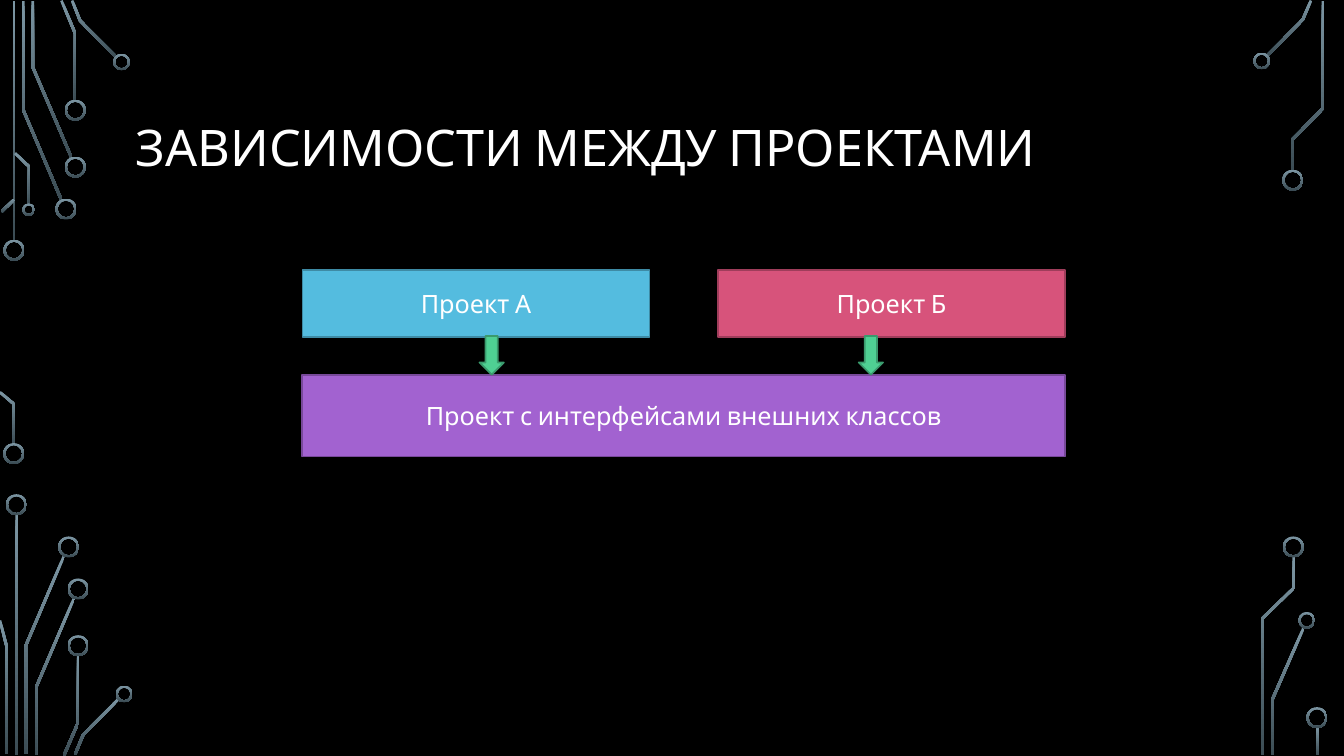
from math import hypot

from pptx import Presentation
from pptx.dml.color import RGBColor
from pptx.enum import shapes, text
from pptx.util import Pt

FONT = "Cabin"
WHITE, BLACK = "FFFFFF", "000000"
TRACE_TOP, TRACE_BOTTOM = "7C96A3", "3B4C54"
TRACE_WIDTH, RING_WALL = 1.9, 1.45

TITLE = "ЗАВИСИМОСТИ МЕЖДУ ПРОЕКТАМИ"
TITLE_AREA = (90, 49, 780, 116.6)

# text, (left, top, width, height), fill, line
PROJECTS = [
    ("Проект с интерфейсами внешних классов", (216, 267.8, 545, 58.3), "A262D0", "78499A"),
    ("Проект А", (216, 192.8, 248, 47.7), "54BCDF", "3E8BA5"),
    ("Проект Б", (512.8, 192.8, 248, 47.7), "D7537B", "9F3D5B"),
]
ARROW_LEFTS = (342.5, 613.4)
ARROW_TOP, ARROW_WIDTH, ARROW_HEIGHT = 240, 17.4, 27.6
ARROW_FILL, ARROW_LINE = "4FD093", "3A9A6D"

# Centre points of the circuit rings, by diameter
RINGS = {
    15: [(10, 178.7), (9.8, 324), (47.1, 149.3), (53.8, 119.3), (53.8, 78.7),
         (11.7, 360.5), (49, 390.7), (55.8, 420.7), (55.8, 461.2),
         (923.4, 128.7), (923.8, 390.7), (940.7, 512.6)],
    12: [(86.8, 44.3), (88.7, 495.7), (901.2, 43.5), (933.4, 443.1)],
    9: [(20.5, 149.8)],
}

# Centre lines of the circuit traces
TRACES = [
    # top left
    [(9.9, 0.7), (9.9, 172.8)],
    [(43.9, 142.9), (16.6, 78.5), (16.6, 0.7)],
    [(51.1, 112.7), (23.4, 47.9), (23.4, 0.7)],
    [(53.7, 72), (53.7, 23.8), (43.9, 0.4)],
    [(83.2, 41), (57.2, 14.8), (51.5, 0.4)],
    [(1.1, 151.2), (10.1, 142.6)],
    [(20.9, 146.2), (20.9, 119.2), (10.8, 109.4)],
    # bottom left
    [(10.1, 317.5), (10.1, 288.7), (0, 280.1)],
    [(11.9, 367.2), (11.9, 539.3)],
    [(18.4, 538.6), (18.4, 461.2), (45.7, 397.1)],
    [(4.7, 538.6), (4.7, 461.5), (0, 443.2)],
    [(25.6, 539.3), (25.6, 491.4), (52.9, 427.3)],
    [(45.7, 539.6), (55.8, 516.2), (55.8, 468)],
    [(53.6, 538.9), (59.4, 524.9), (85, 499)],
    # right
    [(905, 40), (930.6, 14), (936.4, 0.4)],
    [(923, 121.7), (923, 99.7), (945, 77.4), (945, 0.7)],
    [(909, 539.3), (909, 499.3), (931, 448.9)],
    [(901.8, 539.3), (901.8, 441.7), (924.1, 420.1), (924.1, 397.4)],
    [(941, 519.1), (941, 539.3)],
]


def color(value):
    return RGBColor.from_string(value)


def paint_circuit(shape):
    shape.shadow.inherit = False
    shape.line.fill.background()
    shape.fill.gradient()
    shape.fill.gradient_angle = 270
    for stop, value in zip(shape.fill.gradient_stops, (TRACE_TOP, TRACE_BOTTOM)):
        stop.color.rgb = color(value)


def trace_outline(points, width):
    """Return the closed outline of a mitred band around a centre line."""
    normals = []
    for (x1, y1), (x2, y2) in zip(points, points[1:]):
        length = hypot(x2 - x1, y2 - y1)
        normals.append(((y1 - y2) / length, (x2 - x1) / length))
    left, right = [], []
    for (x, y), (ax, ay), (bx, by) in zip(points, normals[:1] + normals, normals + normals[-1:]):
        reach = width / 2 / (1 + ax * bx + ay * by)
        dx, dy = (ax + bx) * reach, (ay + by) * reach
        left.append((x + dx, y + dy))
        right.append((x - dx, y - dy))
    return left + right[::-1]


def add_trace(page, points):
    outline = [(Pt(x), Pt(y)) for x, y in trace_outline(points, TRACE_WIDTH)]
    builder = page.shapes.build_freeform(*outline[0])
    builder.add_line_segments(outline[1:], close=True)
    paint_circuit(builder.convert_to_shape())


def add_ring(page, center, diameter):
    x, y = center
    ring = page.shapes.add_shape(
        shapes.MSO_SHAPE.DONUT, Pt(x - diameter / 2), Pt(y - diameter / 2),
        Pt(diameter), Pt(diameter))
    ring.adjustments[0] = RING_WALL / diameter
    paint_circuit(ring)


def add_solid(page, kind, area, fill, line):
    shape = page.shapes.add_shape(kind, *map(Pt, area))
    shape.shadow.inherit = False
    shape.fill.solid()
    shape.fill.fore_color.rgb = color(fill)
    shape.line.color.rgb = color(line)
    shape.line.width = Pt(1.25)
    return shape


def write(box, words, size, align):
    frame = box.text_frame
    frame.word_wrap = True
    frame.vertical_anchor = text.MSO_ANCHOR.MIDDLE
    para = frame.paragraphs[0]
    para.alignment = align
    span = para.add_run()
    span.text = words
    span.font.name = FONT
    span.font.size = Pt(size)
    span.font.color.rgb = color(WHITE)
    return para


def main():
    deck = Presentation()
    deck.slide_width, deck.slide_height = Pt(960), Pt(540)
    page = deck.slides.add_slide(deck.slide_layouts[6])
    page.background.fill.solid()
    page.background.fill.fore_color.rgb = color(BLACK)

    for points in TRACES:
        add_trace(page, points)
    for diameter, centers in RINGS.items():
        for center in centers:
            add_ring(page, center, diameter)

    title = page.shapes.add_textbox(*map(Pt, TITLE_AREA))
    write(title, TITLE, 36, text.PP_ALIGN.LEFT).line_spacing = 0.9

    for words, area, fill, line in PROJECTS:
        box = add_solid(page, shapes.MSO_SHAPE.RECTANGLE, area, fill, line)
        write(box, words, 18, text.PP_ALIGN.CENTER)
    for left in ARROW_LEFTS:
        add_solid(page, shapes.MSO_SHAPE.DOWN_ARROW,
                  (left, ARROW_TOP, ARROW_WIDTH, ARROW_HEIGHT), ARROW_FILL, ARROW_LINE)

    deck.save("out.pptx")


if __name__ == "__main__":
    main()
